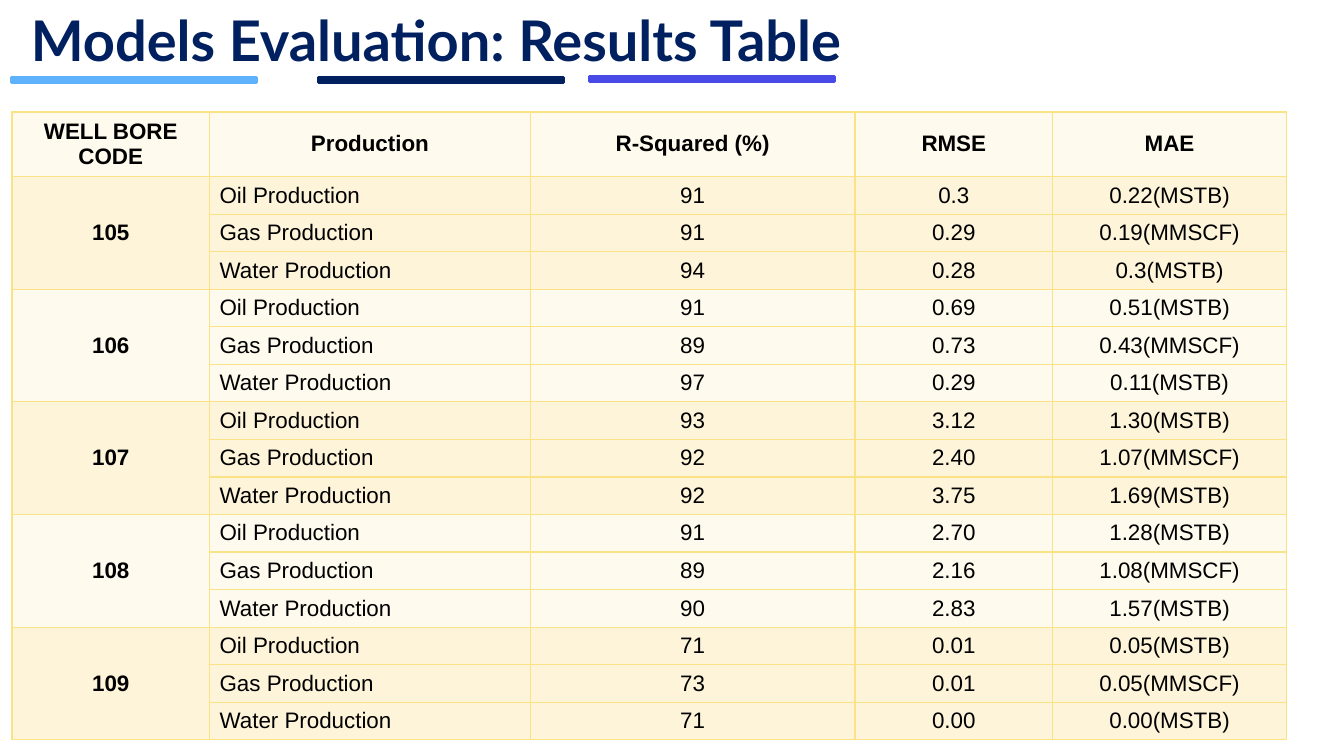
from lxml.etree import SubElement
from pptx import Presentation
from pptx.dml.color import RGBColor
from pptx.enum.shapes import MSO_SHAPE
from pptx.enum.text import MSO_ANCHOR, MSO_AUTO_SIZE, PP_ALIGN
from pptx.oxml.ns import qn
from pptx.util import Cm, Pt

WHITE = RGBColor(0xFF, 0xFF, 0xFF)
BLACK = RGBColor(0x00, 0x00, 0x00)
NAVY = RGBColor(0x00, 0x20, 0x60)
SKY = RGBColor(0x5E, 0xB2, 0xFC)
INDIGO = RGBColor(0x49, 0x49, 0xE7)
CREAM = RGBColor(0xFE, 0xFA, 0xED)
SAND = RGBColor(0xFD, 0xF4, 0xD9)
GOLD = RGBColor(0xFB, 0xE2, 0x84)

HEADINGS = ["WELL BORE CODE", "Production", "R-Squared (%)", "RMSE", "MAE"]
COLUMN_WIDTHS = [4.98, 8.08, 8.18, 4.98, 5.89]
HEADER_HEIGHT = 1.63
ROW_HEIGHT = 14.2 / 15
FLUIDS = [("Oil", "MSTB"), ("Gas", "MMSCF"), ("Water", "MSTB")]

# For each well: R-squared, RMSE and MAE of oil, gas and water
RESULTS = {
    "105": [("91", "0.3", "0.22"), ("91", "0.29", "0.19"), ("94", "0.28", "0.3")],
    "106": [("91", "0.69", "0.51"), ("89", "0.73", "0.43"), ("97", "0.29", "0.11")],
    "107": [("93", "3.12", "1.30"), ("92", "2.40", "1.07"), ("92", "3.75", "1.69")],
    "108": [("91", "2.70", "1.28"), ("89", "2.16", "1.08"), ("90", "2.83", "1.57")],
    "109": [("71", "0.01", "0.05"), ("73", "0.01", "0.05"), ("71", "0.00", "0.00")],
}


def set_title(slide, text):
    title = slide.shapes.title
    title.left, title.top, title.width, title.height = Cm(0.53), Cm(0.13), Cm(30.7), Cm(1.7)
    frame = title.text_frame
    frame.text = text
    frame.auto_size = MSO_AUTO_SIZE.NONE
    frame.vertical_anchor = MSO_ANCHOR.MIDDLE
    frame.margin_left = frame.margin_right = Cm(0.25)
    frame.margin_top = frame.margin_bottom = 0
    paragraph = frame.paragraphs[0]
    paragraph.alignment = PP_ALIGN.LEFT
    font = paragraph.font
    font.name, font.size, font.bold = "Lato", Pt(40), True
    font.color.rgb = NAVY


def add_bar(slide, left, top, color):
    bar = slide.shapes.add_shape(MSO_SHAPE.RECTANGLE, Cm(left), Cm(top), Cm(6.17), Cm(0.13))
    bar.shadow.inherit = False
    bar.fill.solid()
    bar.fill.fore_color.rgb = color
    bar.line.color.rgb = color
    bar.line.width = Pt(2)


def set_borders(cell):
    properties = cell._tc.get_or_add_tcPr()
    for index, side in enumerate(("a:lnL", "a:lnR", "a:lnT", "a:lnB")):
        line = SubElement(properties, qn(side), w=str(Pt(1)))
        fill = SubElement(line, qn("a:solidFill"))
        SubElement(fill, qn("a:srgbClr"), val=str(GOLD))
        properties.insert(index, line)


def write_cell(cell, text, bold=False, alignment=PP_ALIGN.CENTER):
    cell.text = text
    cell.vertical_anchor = MSO_ANCHOR.MIDDLE
    paragraph = cell.text_frame.paragraphs[0]
    paragraph.alignment = alignment
    font = paragraph.font
    font.name, font.size, font.bold = "Arial", Pt(16), bold
    font.color.rgb = BLACK


def style_cell(cell, color):
    cell.fill.solid()
    cell.fill.fore_color.rgb = color
    set_borders(cell)


def add_results_table(slide):
    row_count = 1 + len(RESULTS) * len(FLUIDS)
    frame = slide.shapes.add_table(
        row_count, len(HEADINGS), Cm(0.3), Cm(2.82),
        Cm(sum(COLUMN_WIDTHS)), Cm(HEADER_HEIGHT + ROW_HEIGHT * (row_count - 1)))
    table = frame.table
    table.horz_banding = False
    for column, width in zip(table.columns, COLUMN_WIDTHS):
        column.width = Cm(width)
    for index, row in enumerate(table.rows):
        row.height = Cm(ROW_HEIGHT if index else HEADER_HEIGHT)
        group = (index + len(FLUIDS) - 1) // len(FLUIDS)
        for cell in row.cells:
            style_cell(cell, SAND if group % 2 else CREAM)

    for column, heading in enumerate(HEADINGS):
        write_cell(table.cell(0, column), heading, bold=True)
    for well, (code, scores) in enumerate(RESULTS.items()):
        first = 1 + well * len(FLUIDS)
        table.cell(first, 0).merge(table.cell(first + len(FLUIDS) - 1, 0))
        write_cell(table.cell(first, 0), code, bold=True)
        for row, ((fluid, unit), score) in enumerate(zip(FLUIDS, scores), first):
            r_squared, rmse, mae = score
            write_cell(table.cell(row, 1), f"{fluid} Production", alignment=PP_ALIGN.LEFT)
            for column, value in enumerate((r_squared, rmse, f"{mae}({unit})"), 2):
                write_cell(table.cell(row, column), value)


def main():
    presentation = Presentation()
    presentation.slide_width, presentation.slide_height = Cm(33.86), Cm(19.05)
    slide = presentation.slides.add_slide(presentation.slide_layouts[5])
    slide.background.fill.solid()
    slide.background.fill.fore_color.rgb = WHITE
    set_title(slide, "Models Evaluation: Results Table")
    for left, top, color in ((0.3, 1.96, SKY), (8.03, 1.96, NAVY), (14.86, 1.93, INDIGO)):
        add_bar(slide, left, top, color)
    add_results_table(slide)
    presentation.save("out.pptx")


if __name__ == "__main__":
    main()
